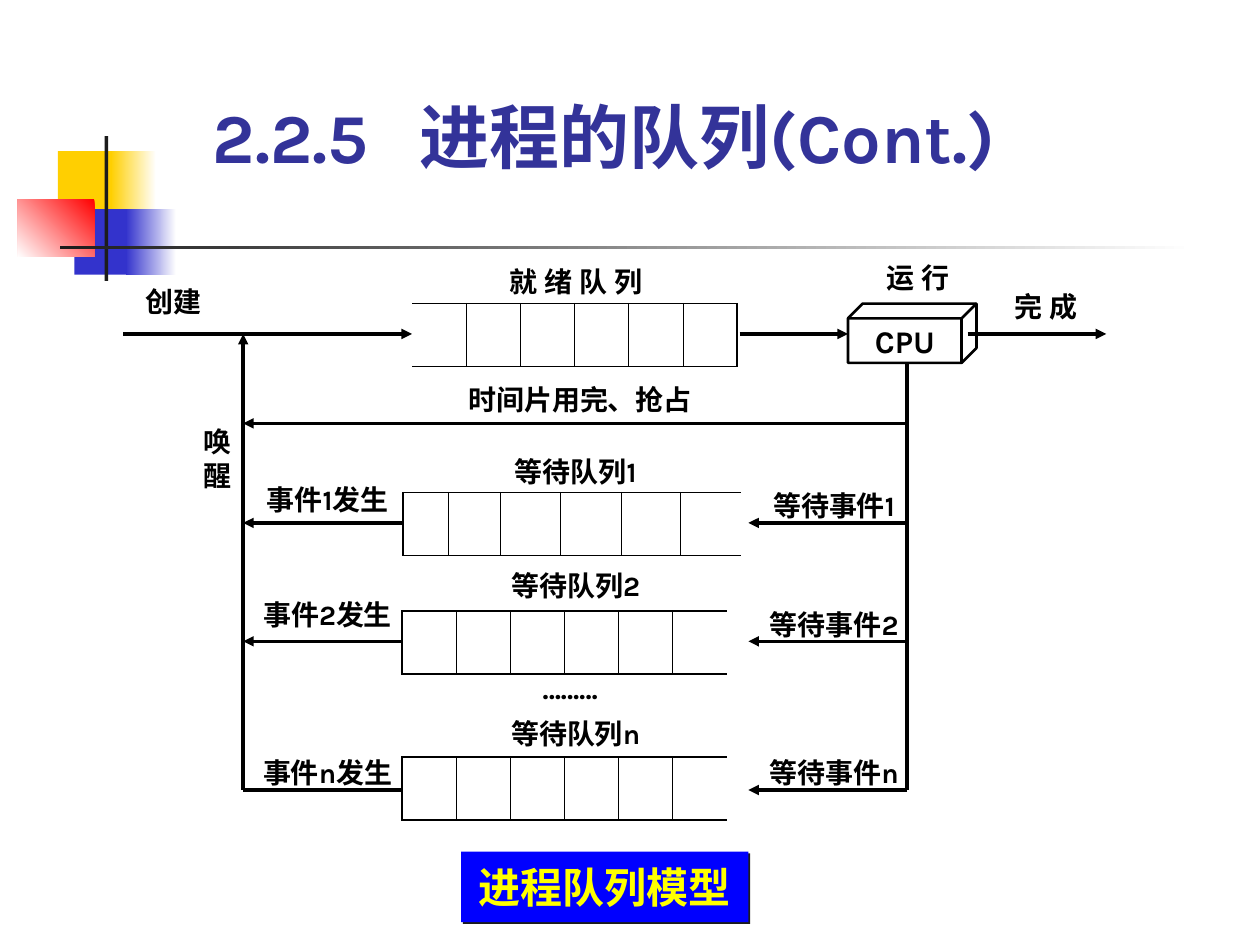
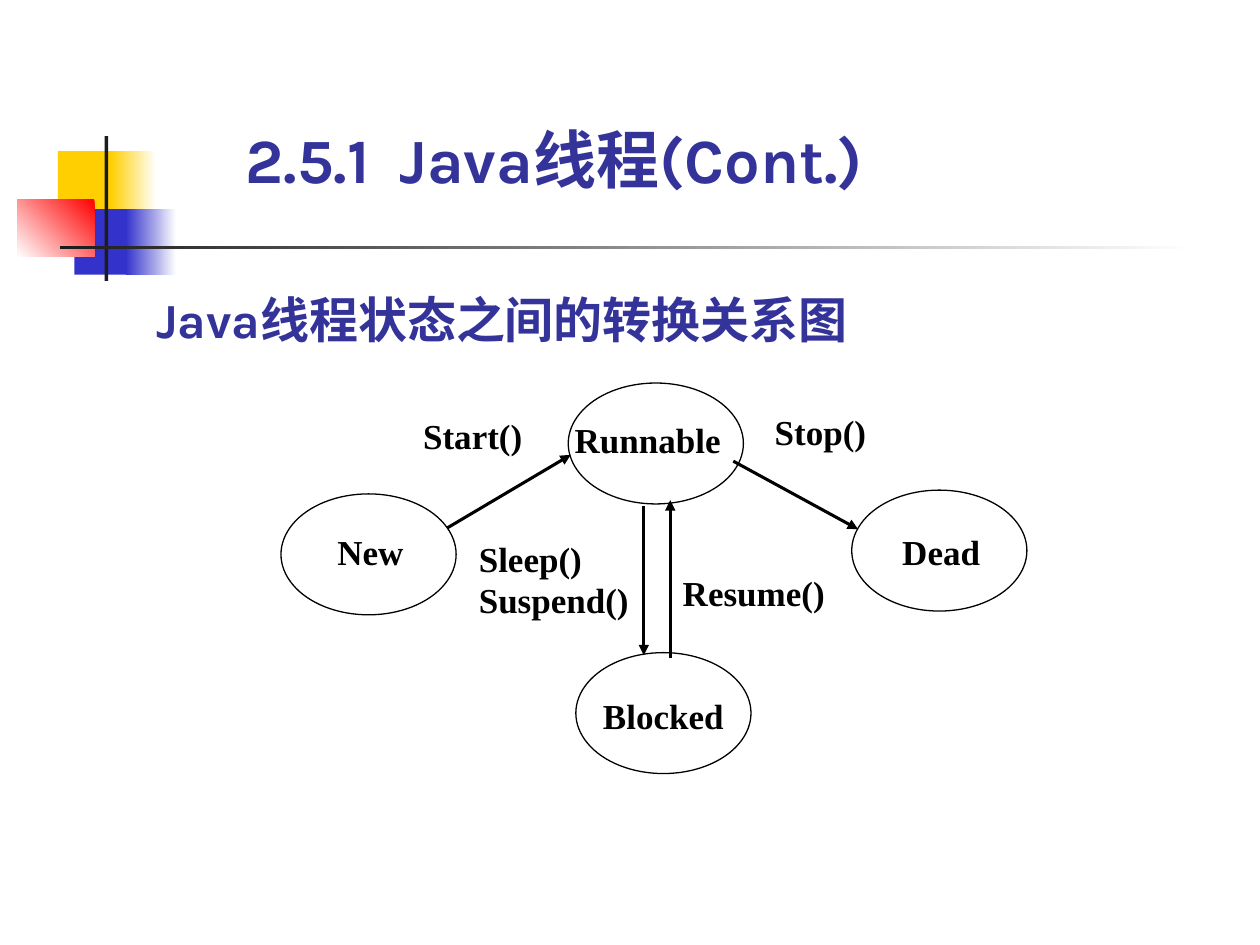
from dataclasses import dataclass
from lxml.etree import SubElement as Sub
from pptx import Presentation
from pptx.dml.color import RGBColor as Rgb
from pptx.enum.shapes import MSO_CONNECTOR as Conn, MSO_SHAPE as Geo
from pptx.enum.text import MSO_ANCHOR as Anchor, PP_ALIGN as Align
from pptx.oxml.ns import qn
from pptx.util import Inches, Pt


@dataclass(frozen=True)
class Theme:
    ink: str = "000000"
    white: str = "FFFFFF"
    navy: str = "333399"
    gold: str = "FFCF01"
    blue: str = "3333CC"
    red: str = "FF0000"
    dark: str = "1C1C1C"
    plate: str = "0000FF"
    glow: str = "FFFF00"
    sans: str = "Karla"
    serif: str = "Times New Roman"
    small: int = 16
    node: int = 20
    thick: float = 2
    thin: float = 0.75


T = Theme()

# Shared band: box, start colour, end colour, angle
BAND = [
    ((0.46, 1.2, 0.48, 0.52), T.gold, None, 0),
    ((0.88, 1.2, 0.36, 0.52), T.white, T.gold, 180),
    ((0.59, 1.66, 0.46, 0.52), T.blue, None, 0),
    ((1, 1.66, 0.4, 0.52), T.white, T.blue, 180),
    ((0.14, 1.58, 0.61, 0.46), T.red, T.white, 225),
    ((0.83, 1.08, 0.03, 1.15), T.dark, None, 0),
    ((0.48, 1.95, 9, 0.03), T.white, T.dark, 180),
]

# Slide 1: queue model
EVEN = [0.43] * 6
LEFT, RIGHT, FLOW = 1.93, 7.2, 2.65
LANE_END, WAIT_TIP = 3.19, 5.94
# name, line y, table left and top, top of queue label, top of event label, columns
LANES = [
    ("1", 4.15, 3.2, 3.91, 3.61, 3.83, [0.36, 0.41, 0.48, 0.48, 0.47, 0.48]),
    ("2", 5.09, 3.19, 4.85, 4.51, 4.74, EVEN),
    ("n", 6.27, 3.19, 6.01, 5.69, 6, EVEN),
]
LABELS = [
    ("就 绪 队 列", 3.82, 2.1, 1.5),
    ("时间片用完、抢占", 3.66, 3.04, 1.89),
    ("创建", 1.14, 2.26, 0.47),
    ("完 成", 7.91, 2.3, 0.79),
    ("………", 4.13, 5.33, 0.79),
    ("运 行", 6.89, 2.07, 0.79),
]
# start, end, arrow
PATHS = [
    ((5.87, FLOW), (6.73, FLOW), True),
    ((RIGHT, 2.89), (RIGHT, 6.27), False),
    ((RIGHT, 3.36), (LEFT, 3.36), True),
    ((0.98, FLOW), (3.27, FLOW), True),
    ((LEFT, 6.27), (LEFT, FLOW), True),
    ((7.68, FLOW), (8.78, FLOW), True),
]

# Slide 2: thread states; name, oval left and top, text box, alignment
STATES = [
    ("Runnable", 4.51, 3.04, (4.54, 3.31, 1.25, 0.43), Align.LEFT),
    ("Blocked", 4.57, 5.18, (4.73, 5.5, 1.07, 0.48), Align.CENTER),
    ("Dead", 6.76, 3.89, (7.03, 4.2, 0.88, 0.61), Align.CENTER),
    ("New", 2.23, 3.92, (2.5, 4.2, 0.88, 0.61), Align.CENTER),
]
MOVES = [
    ((3.55, 4.19), (4.53, 3.61)),
    ((5.82, 3.66), (6.81, 4.2)),
    ((5.11, 4.02), (5.11, 5.2)),
    ((5.32, 5.22), (5.32, 3.97)),
]
# lines, box, padding, line spacing
CALLS = [
    (["Sleep()", "Suspend()"], (3.8, 4.29, 1.28, 1.01), (0, 0), 0.96),
    (["Start()"], (3.26, 3.24, 1, 0.48), (0.1, 0.05), 1),
    (["Stop()"], (6.05, 3.21, 1, 0.51), (0.1, 0.05), 1),
    (["Resume()"], (5.32, 4.51, 1.38, 0.71), (0.1, 0.05), 0.96),
]


def inch(box):
    return [Inches(v) for v in box]


def rgb(code):
    return Rgb.from_string(code)


def write(shape, lines, size, color=T.ink, face=T.sans, align=Align.CENTER,
          pad=(0, 0), anchor=Anchor.TOP, wrap=True, lead=1, tab=None):
    frame = shape.text_frame
    frame.word_wrap, frame.vertical_anchor = wrap, anchor
    frame.margin_left = frame.margin_right = Inches(pad[0])
    frame.margin_top = frame.margin_bottom = Inches(pad[1])
    for i, line in enumerate(lines):
        para = frame.add_paragraph() if i else frame.paragraphs[0]
        para.alignment, para.line_spacing = align, lead
        if tab:
            tabs = Sub(para._p.get_or_add_pPr(), qn("a:tabLst"))
            Sub(tabs, qn("a:tab"), pos=str(Inches(tab)), algn="l")
        run = para.add_run()
        run.text = line
        font = run.font
        font.size, font.bold, font.name = Pt(size), True, face
        font.color.rgb = rgb(color)
        Sub(run._r.rPr, qn("a:ea"), typeface=face)


def label(slide, lines, box, size=T.small, **style):
    write(slide.shapes.add_textbox(*inch(box)), lines, size, **style)


def solid(slide, geo, box, fill=None, edge=None):
    shape = slide.shapes.add_shape(geo, *inch(box))
    shape.shadow.inherit = False
    if fill:
        shape.fill.solid()
        shape.fill.fore_color.rgb = rgb(fill)
    else:
        shape.fill.background()
    if edge:
        shape.line.color.rgb, shape.line.width = rgb(T.ink), Pt(edge)
    else:
        shape.line.fill.background()
    return shape


def link(slide, start, end, arrow=True, width=T.thick):
    line = slide.shapes.add_connector(Conn.STRAIGHT, *inch(start + end))
    line.line.color.rgb, line.line.width = rgb(T.ink), Pt(width)
    if arrow:
        Sub(line.line._get_or_add_ln(), qn("a:tailEnd"), type="triangle")
    Sub(line._element.spPr, qn("a:effectLst"))


def border(cell, side, width):
    line = Sub(cell._tc.get_or_add_tcPr(), qn("a:ln" + side), w=str(Pt(width)))
    if width:
        fill = Sub(line, qn("a:solidFill"))
        Sub(fill, qn("a:srgbClr"), val=T.ink)
    else:
        Sub(line, qn("a:noFill"))


def queue(slide, left, top, cols, ends):
    """Draw a row of cells; ends holds the outer left and right line widths."""
    box = inch((left, top, sum(cols), 0.5))
    table = slide.shapes.add_table(1, len(cols), *box).table
    table.first_row = table.horz_banding = False
    last = len(cols) - 1
    for i, width in enumerate(cols):
        table.columns[i].width = Inches(width)
        cell = table.cell(0, i)
        border(cell, "L", 0.45 if i else ends[0])
        border(cell, "R", 0.45 if i < last else ends[1])
        for side in "TB":
            border(cell, side, 1.08)
        cell.fill.background()


def start(deck, title, box, size, **style):
    """Add a slide with the shared band and a title."""
    slide = deck.slides.add_slide(deck.slide_layouts[6])
    for area, first, second, angle in BAND:
        part = solid(slide, Geo.RECTANGLE, area, first)
        if second:
            part.fill.gradient()
            part.fill.gradient_angle = angle
            for stop, color in zip(part.fill.gradient_stops, (first, second)):
                stop.color.rgb = rgb(color)
    label(slide, [title], box, size, color=T.navy, align=Align.LEFT,
          anchor=Anchor.BOTTOM, **style)
    return slide


def model(deck):
    slide = start(deck, "2.2.5\t进程的队列(Cont.)", (1.69, 0.84, 7.01, 0.57),
                  40, lead=0.85, tab=1.64)
    # Queues
    queue(slide, 3.27, 2.41, EVEN, (0, 1.08))
    for name, y, left, top, head, event, cols in LANES:
        queue(slide, left, top, cols, (1.08, 0))
        label(slide, ["等待队列" + name], (3.82, head, 1.5, 0.27))
        label(slide, ["等待事件" + name], (5.87, y - 0.27, 1.5, 0.27))
        label(slide, [f"事件{name}发生"], (1.85, event, 1.5, 0.27))
        link(slide, (RIGHT, y), (WAIT_TIP, y))
        link(slide, (LANE_END, y), (LEFT, y), name != "n")
    # Processor and flow
    cpu = solid(slide, Geo.CUBE, (6.73, 2.41, 1.02, 0.47), edge=1.5)
    write(cpu, ["CPU"], 18, pad=(0.1, 0.05), anchor=Anchor.MIDDLE, wrap=False)
    for path in PATHS:
        link(slide, *path)
    for text, left, top, width in LABELS:
        label(slide, [text], (left, top, width, 0.27))
    label(slide, ["唤", "醒"], (1.6, 3.37, 0.25, 0.53))
    # Caption plate
    plate = solid(slide, Geo.RECTANGLE, (3.66, 6.76, 2.28, 0.56), T.plate)
    effects = plate._element.spPr.find(qn("a:effectLst"))
    shade = Sub(effects, qn("a:outerShdw"), dist=str(Pt(1.4)), dir="2700000",
                algn="ctr", rotWithShape="0")
    Sub(shade, qn("a:srgbClr"), val=T.dark)
    write(plate, ["进程队列模型"], 24, T.glow, pad=(0, 0.08))


def threads(deck):
    slide = start(deck, "2.5.1\tJava线程(Cont.)", (1.85, 0.91, 6.85, 0.7),
                  36, pad=(0.1, 0.05), tab=1.22)
    label(slide, ["Java线程状态之间的转换关系图"], (1.14, 2.25, 5.91, 0.57), 28,
          color=T.navy, align=Align.LEFT, pad=(0.1, 0.05))
    # States
    for name, left, top, box, align in STATES:
        solid(slide, Geo.OVAL, (left, top, 1.39, 0.96), T.white, T.thin)
        label(slide, [name], box, T.node, face=T.serif, align=align,
              pad=(0.02, 0.01))
    # Transitions
    for tail, tip in MOVES:
        link(slide, tail, tip, width=1.75)
    for lines, box, pad, lead in CALLS:
        label(slide, lines, box, T.node, face=T.serif, align=Align.LEFT,
              pad=pad, lead=lead)


def main():
    deck = Presentation()
    deck.slide_width, deck.slide_height = Inches(10), Inches(7.5)
    model(deck)
    threads(deck)
    deck.save("out.pptx")


if __name__ == "__main__":
    main()
